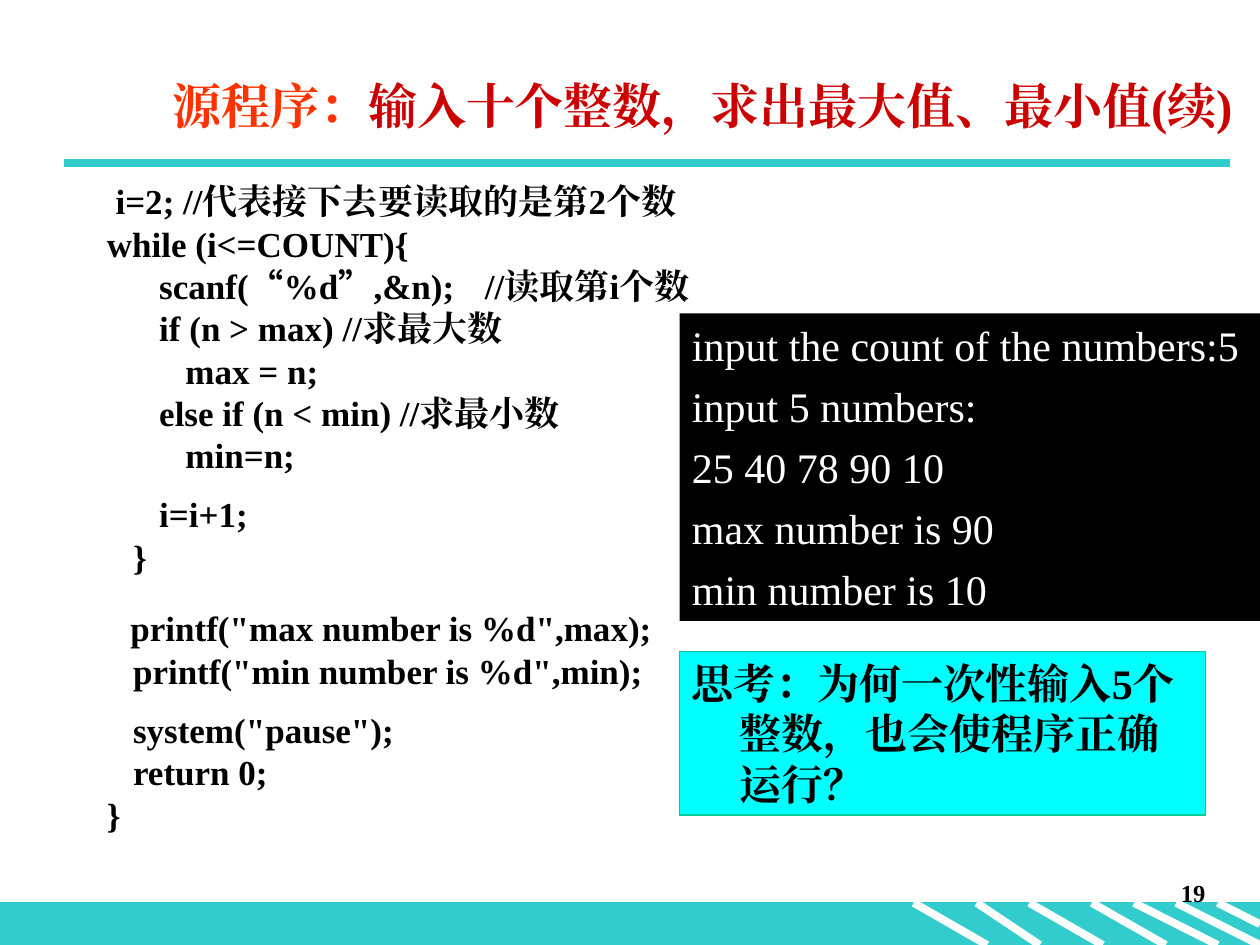
from lxml.etree import SubElement
from pptx import Presentation
from pptx.dml.color import RGBColor
from pptx.enum.shapes import MSO_CONNECTOR as Connector, MSO_SHAPE as Shape
from pptx.enum.text import MSO_ANCHOR as Anchor, MSO_AUTO_SIZE as AutoSize, PP_ALIGN as Align
from pptx.oxml.ns import qn
from pptx.util import Cm, Pt

COLORS = {
    "teal": "33CCCC", "white": "FFFFFF", "black": "000000", "orange": "FF3300",
    "red": "CC0000", "cyan": "00FFFF", "green": "00CC99",
}
SERIF = "Times New Roman"
SANS = "Noto Sans CJK SC"


def write(paragraph, text, size=20, color="black", bold=True, font=SERIF,
          before=0, line=None, align=Align.LEFT, margin=0, indent=0, tab=None):
    """Add a formatted run and set the layout of its paragraph, lengths in cm."""
    run = paragraph.add_run()
    run.text = text
    run.font.size = Pt(size)
    run.font.bold = bold
    run.font.name = font
    run.font.color.rgb = RGBColor.from_string(COLORS[color])
    SubElement(run.font._element, qn("a:ea")).set("typeface", font)
    paragraph.alignment = align
    paragraph.space_before = Pt(before)
    if line:
        paragraph.line_spacing = line
    properties = paragraph._p.get_or_add_pPr()
    properties.set("marL", str(Cm(margin)))
    properties.set("indent", str(Cm(indent)))
    if properties.find(qn("a:buNone")) is None:
        SubElement(properties, qn("a:buNone"))
    if tab:
        stops = SubElement(properties, qn("a:tabLst"))
        SubElement(stops, qn("a:tab"), pos=str(Cm(tab)), algn="l")


def draw_line(slide, start, end, color):
    """Draw a thick line without shadow between two points given in cm."""
    connector = slide.shapes.add_connector(
        Connector.STRAIGHT, *[Cm(value) for value in start + end])
    connector.line.color.rgb = RGBColor.from_string(COLORS[color])
    connector.line.width = Pt(4.5)
    SubElement(connector._element.spPr, qn("a:effectLst"))


presentation = Presentation()
presentation.slide_width, presentation.slide_height = Cm(25.4), Cm(19.05)
slide = presentation.slides.add_slide(presentation.slide_layouts[1])
title, body = slide.shapes.title, slide.placeholders[1]

# Footer band, its stripes and the rule under the title
band_top, band_bottom = 18.2, 19.05
band = slide.shapes.add_shape(
    Shape.RECTANGLE, 0, Cm(band_top), Cm(25.4), Cm(band_bottom - band_top))
band.shadow.inherit = False
band.fill.solid()
band.fill.fore_color.rgb = RGBColor.from_string(COLORS["teal"])
band.line.color.rgb = RGBColor.from_string(COLORS["teal"])
band.line.width = Pt(0.75)
stripes = [(18.42, 19.9), (19.69, 20.96), (20.75, 22.23), (22.01, 23.5),
           (22.86, 24.55), (23.71, 25.4)]
for left, right in stripes:
    draw_line(slide, (left, band_top), (right, band_bottom), "white")
draw_line(slide, (24.55, band_top), (25.4, 18.63), "white")
draw_line(slide, (1.3, 3.28), (24.8, 3.28), "teal")

number = slide.shapes.add_textbox(Cm(19.26), Cm(17.57), Cm(5.29), Cm(1.27))
number.text_frame.word_wrap = True
write(number.text_frame.paragraphs[0], "19", size=14, before=8.8, align=Align.RIGHT)

# Title and code, in front of the decoration
for placeholder, box, anchor in (
        (title, (3.1, 1.12, 22, 2), Anchor.MIDDLE),
        (body, (1.9, 3.66, 21.6, 14.25), Anchor.TOP)):
    slide.shapes._spTree.append(placeholder._element)
    placeholder.left, placeholder.top, placeholder.width, placeholder.height = map(Cm, box)
    placeholder.text_frame.auto_size = AutoSize.NONE
    placeholder.text_frame.vertical_anchor = anchor

for text, color in (("源程序：", "orange"),
                    ("输入十个整数，求出最大值、最小值(续)", "red")):
    write(title.text_frame.paragraphs[0], text, size=28, color=color, align=Align.RIGHT)

# Each line of code: indent in spaces, space before in points, text
SPACE = 0.176
code_lines = [
    (1, 5, "i=2; //代表接下去要读取的是第2个数"),
    (0, 5, "while (i<=COUNT){"),
    (6, 5, "scanf(“%d”,&n);\t//读取第i个数"),
    (6, 5, "if (n > max) //求最大数"),
    (9, 5, "max = n;"),
    (6, 5, "else if (n < min) //求最小数"),
    (9, 5, "min=n;"),
    (6, 14.5, "i=i+1;"),
    (3, 5, "}"),
    (2.7, 21.7, 'printf("max number is %d",max);'),
    (3, 5, 'printf("min number is %d",min);'),
    (3, 14.5, 'system("pause");'),
    (3, 5, "return 0;"),
    (0, 5, "}"),
]
for index, (spaces, before, text) in enumerate(code_lines):
    frame = body.text_frame
    paragraph = frame.add_paragraph() if index else frame.paragraphs[0]
    layout = {"before": before, "line": 0.8, "indent": spaces * SPACE}
    pieces = text.replace("“", "|“|").replace("”", "|”|").split("|")
    for piece in pieces:
        tab = 8.2 if "\t" in piece else None
        write(paragraph, piece, font=SANS if piece in "“”" else SERIF, tab=tab, **layout)

# Program output and question
console_lines = ["input the count of the numbers:5", "input 5 numbers:",
                 "25 40 78 90 10", "max number is 90", "min number is 10"]
question_lines = ["思考：为何一次性输入5个整数，也会使程序正确运行？"]
panels = [
    (6.32, 11.71, 6.2, "black", None, console_lines,
     {"color": "white", "bold": False, "before": 6}),
    (13.13, 10.6, 3.3, "cyan", "green", question_lines, {"before": 15}),
]
for top, width, height, fill, outline, lines, style in panels:
    panel = slide.shapes.add_shape(
        Shape.RECTANGLE, Cm(13.7), Cm(top), Cm(width), Cm(height))
    panel.shadow.inherit = False
    panel.fill.solid()
    panel.fill.fore_color.rgb = RGBColor.from_string(COLORS[fill])
    if outline:
        panel.line.color.rgb = RGBColor.from_string(COLORS[outline])
        panel.line.width = Pt(0.75)
    else:
        panel.line.fill.background()
    frame = panel.text_frame
    frame.word_wrap = True
    frame.vertical_anchor = Anchor.TOP
    for index, text in enumerate(lines):
        paragraph = frame.add_paragraph() if index else frame.paragraphs[0]
        write(paragraph, text, size=24, margin=0.95, indent=-0.95, **style)

presentation.save("out.pptx")
